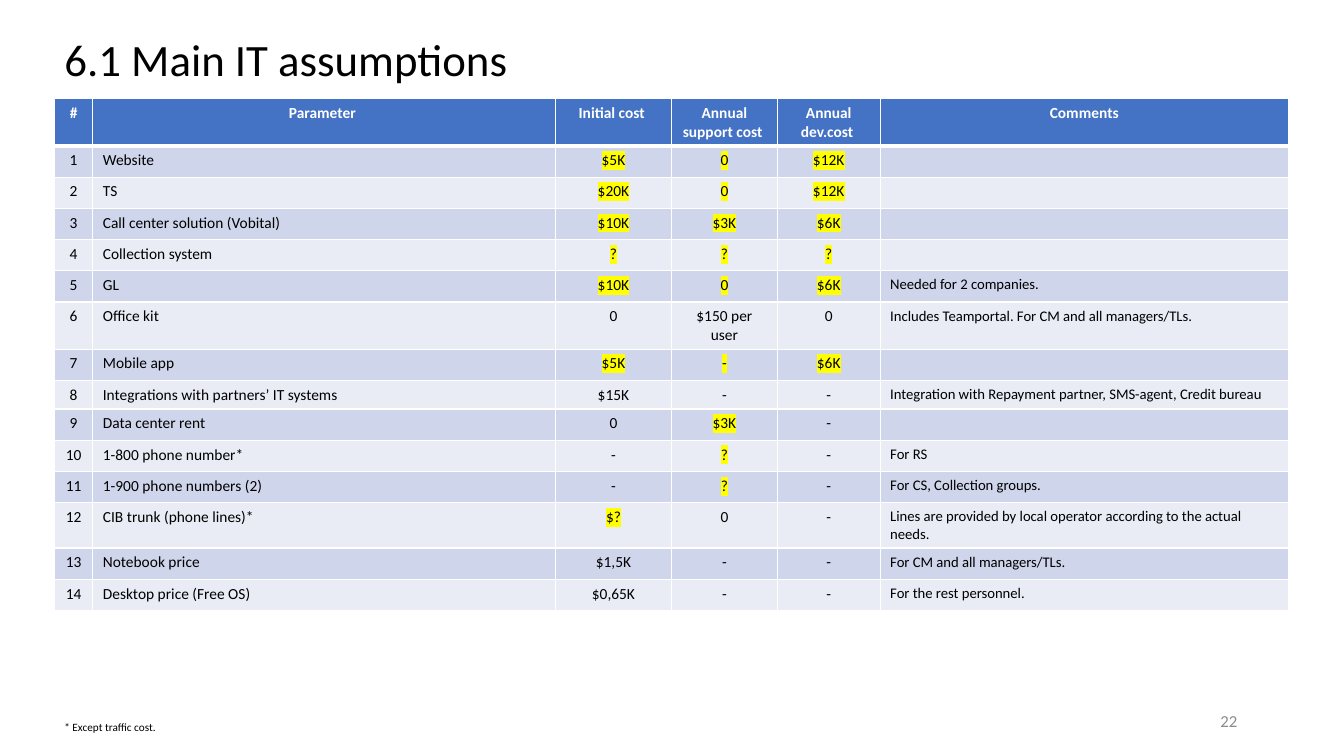
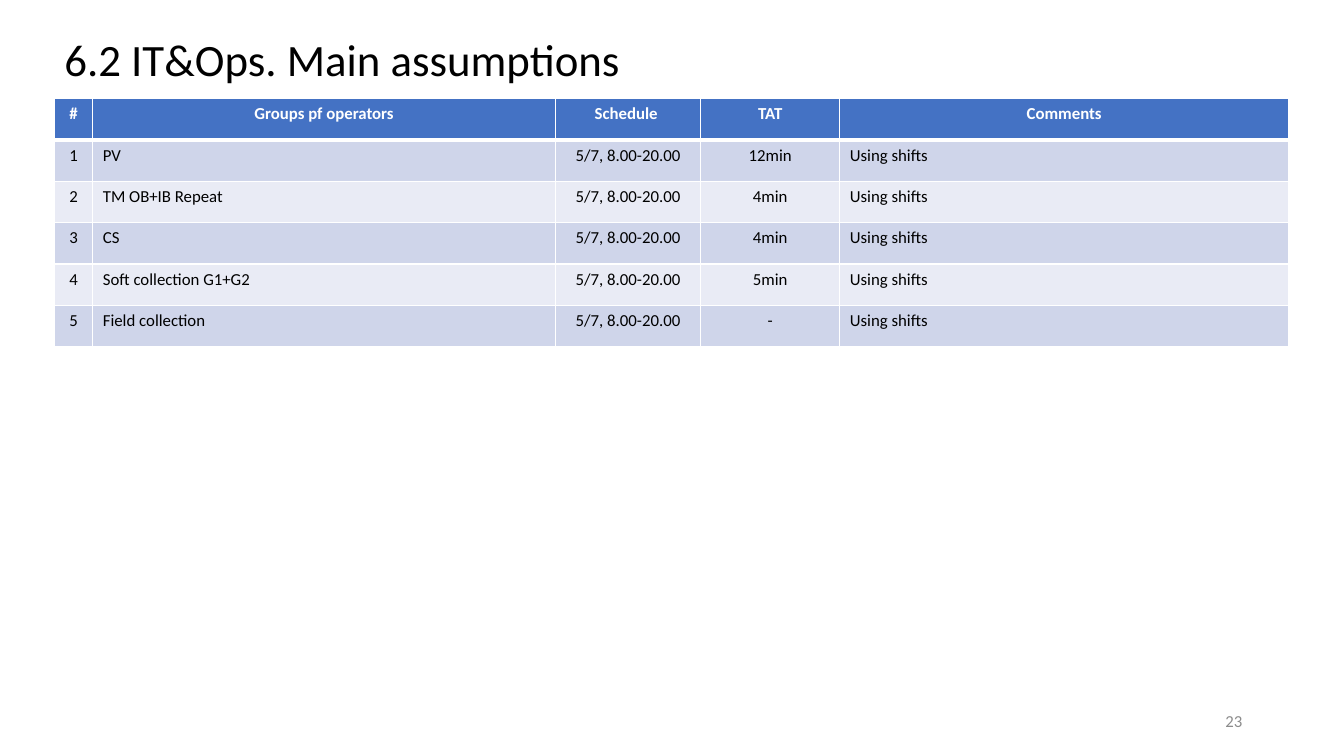
from dataclasses import dataclass
from typing import NamedTuple

import lxml.etree
import pptx
import pptx.dml.color
import pptx.enum.text
import pptx.oxml.ns
import pptx.util

EMU_PER_PX = 9144  # 100 px to the inch
SLIDE_WIDTH, SLIDE_HEIGHT = 1333, 750
LEFT = 54
TABLE_TOP = 98
FONT = "Calibri"
COLORS = {
    "text": "000000",
    "page_number": "8C8C8C",
    "header": "4472C4",
    "header_text": "FFFFFF",
    "odd_row": "CFD5EA",
    "even_row": "E9EBF5",
    "border": "FFFFFF",
    "marker": "FFFF00",
}
ALIGN = pptx.enum.text.PP_ALIGN
ANCHOR = pptx.enum.text.MSO_ANCHOR


class Marked(NamedTuple):
    """A cell value with a highlighter behind it."""
    text: str


class Column(NamedTuple):
    heading: str
    width: int
    align: ALIGN = ALIGN.CENTER
    size: float | None = None


class Box(NamedTuple):
    left: int
    top: int
    width: int
    height: int


@dataclass
class Assumptions:
    title: str
    page: int
    page_left: int
    size: float
    columns: list[Column]
    rows: list[list[str | Marked]]
    row_height: int
    header_height: int
    short_rows: dict[int, int]
    footnote: str = ""


IT_COSTS = Assumptions(
    title="6.1 Main IT assumptions",
    page=22,
    page_left=937,
    size=11,
    columns=[
        Column("#", 38),
        Column("Parameter ", 459, ALIGN.LEFT),
        Column("Initial cost ", 115),
        Column("Annual support cost ", 105),
        Column("Annual dev.cost ", 102),
        Column("Comments", 405, ALIGN.LEFT, 10.5),
    ],
    rows=[
        ["Website", Marked("$5K"), Marked("0"), Marked("$12K"), ""],
        ["TS", Marked("$20K"), Marked("0"), Marked("$12K"), ""],
        ["Call center solution (Vobital)", Marked("$10K"), Marked("$3K"), Marked("$6K"), ""],
        ["Collection system", Marked("?"), Marked("?"), Marked("?"), ""],
        ["GL", Marked("$10K"), Marked("0"), Marked("$6K"), "Needed for 2 companies."],
        ["Office kit", "0", "$150 per user", "0",
         "Includes Teamportal. For CM and all managers/TLs."],
        ["Mobile app", Marked("$5K"), Marked("-"), Marked("$6K"), ""],
        ["Integrations with partners’ IT systems", "$15K", "-", "-",
         "Integration with Repayment partner, SMS-agent, Credit bureau"],
        ["Data center rent", "0", Marked("$3K"), "-", ""],
        ["1-800 phone number*", "-", Marked("?"), "-", "For RS"],
        ["1-900 phone numbers (2)", "-", Marked("?"), "-", "For CS, Collection groups."],
        ["CIB trunk (phone lines)*", Marked("$?"), "0", "-",
         "Lines are provided by local operator according to the actual needs."],
        ["Notebook price", "$1,5K", "-", "-", "For CM and all managers/TLs."],
        ["Desktop price (Free OS)", "$0,65K", "-", "-", "For the rest personnel."],
    ],
    row_height=31,
    header_height=36,
    short_rows={8: 28},
    footnote="* Except traffic cost.",
)

OPERATOR_GROUPS = Assumptions(
    title="6.2 IT&Ops. Main assumptions",
    page=23,
    page_left=942,
    size=12,
    columns=[
        Column("#", 38),
        Column("Groups pf operators", 459, ALIGN.LEFT),
        Column("Schedule ", 144),
        Column("TAT", 138),
        Column("Comments", 445, ALIGN.LEFT),
    ],
    rows=[
        [group, "5/7, 8.00-20.00", turnaround, "Using shifts"]
        for group, turnaround in [
            ("PV", "12min"),
            ("TM OB+IB Repeat", "4min"),
            ("CS", "4min"),
            ("Soft collection G1+G2", "5min"),
            ("Field collection", "-"),
        ]
    ],
    row_height=41,
    header_height=41,
    short_rows={},
)


def px(length: int) -> pptx.util.Emu:
    return pptx.util.Emu(length * EMU_PER_PX)


def rgb(color: str) -> pptx.dml.color.RGBColor:
    return pptx.dml.color.RGBColor.from_string(COLORS[color])


def drawing_element(parent, tag: str, **attributes: str):
    return lxml.etree.SubElement(parent, pptx.oxml.ns.qn(f"a:{tag}"), attributes)


def write(paragraph, text: str, size: float, color: str, align: ALIGN = ALIGN.LEFT,
          bold: bool = False) -> None:
    paragraph.text = text
    paragraph.alignment = align
    for run in paragraph.runs:
        run.font.name = FONT
        run.font.size = pptx.util.Pt(size)
        run.font.bold = bold
        run.font.color.rgb = rgb(color)
    if not text:  # an empty cell must not grow to the default text size
        drawing_element(paragraph._p, "endParaRPr", sz=str(int(size * 100)))


def highlight(run) -> None:
    properties = run._r.get_or_add_rPr()
    marker = drawing_element(properties, "highlight")
    drawing_element(marker, "srgbClr", val=COLORS["marker"])
    properties.find(pptx.oxml.ns.qn("a:solidFill")).addnext(marker)


def add_borders(cell, top: int, bottom: int) -> None:
    """Add side lines of 1 pt, and top and bottom lines of the given points."""
    properties = cell._tc.get_or_add_tcPr()
    for side, points in {"L": 1, "R": 1, "T": top, "B": bottom}.items():
        line = drawing_element(properties, f"ln{side}", w=str(pptx.util.Pt(points)))
        fill = drawing_element(line, "solidFill")
        drawing_element(fill, "srgbClr", val=COLORS["border"])


def style_cell(cell, row: int) -> None:
    add_borders(cell, top=3 if row == 1 else 1, bottom=3 if row == 0 else 1)
    cell.fill.solid()
    band = "header" if row == 0 else "odd_row" if row % 2 else "even_row"
    cell.fill.fore_color.rgb = rgb(band)


def add_text(slide, box: Box, text: str, size: float, color: str = "text",
             align: ALIGN = ALIGN.LEFT, anchor: ANCHOR = ANCHOR.MIDDLE,
             line_spacing: float = 1.0) -> None:
    frame = slide.shapes.add_textbox(*map(px, box)).text_frame
    frame.word_wrap = True
    frame.vertical_anchor = anchor
    paragraph = frame.paragraphs[0]
    write(paragraph, text, size, color, align)
    paragraph.line_spacing = line_spacing


def add_assumption_table(slide, content: Assumptions) -> None:
    columns = content.columns
    heights = [content.header_height] + [
        content.short_rows.get(number, content.row_height)
        for number in range(1, len(content.rows) + 1)
    ]
    width = sum(column.width for column in columns)
    box = Box(LEFT, TABLE_TOP, width, sum(heights))
    table = slide.shapes.add_table(len(heights), len(columns), *map(px, box)).table
    for index, height in enumerate(heights):
        table.rows[index].height = px(height)

    for index, column in enumerate(columns):
        table.columns[index].width = px(column.width)
        heading = table.cell(0, index)
        style_cell(heading, 0)
        write(heading.text_frame.paragraphs[0], column.heading, content.size,
              "header_text", ALIGN.CENTER, bold=True)

    for number, values in enumerate(content.rows, start=1):
        for index, (column, value) in enumerate(zip(columns, [str(number), *values])):
            cell = table.cell(number, index)
            style_cell(cell, number)
            marked = isinstance(value, Marked)
            paragraph = cell.text_frame.paragraphs[0]
            write(paragraph, value.text if marked else value,
                  column.size or content.size, "text", column.align)
            if marked:
                highlight(paragraph.runs[0])


def add_assumption_slide(presentation, content: Assumptions) -> None:
    slide = presentation.slides.add_slide(presentation.slide_layouts[6])
    add_text(slide, Box(content.page_left, 695, 300, 40), str(content.page), 12,
             "page_number", ALIGN.RIGHT)
    add_text(slide, Box(LEFT, 22, 975, 78), content.title, 32, line_spacing=0.9)
    add_assumption_table(slide, content)
    if content.footnote:
        add_text(slide, Box(LEFT, 710, 1093, 24), content.footnote, 8, anchor=ANCHOR.TOP)


def main() -> None:
    presentation = pptx.Presentation()
    presentation.slide_width = px(SLIDE_WIDTH)
    presentation.slide_height = px(SLIDE_HEIGHT)
    for content in (IT_COSTS, OPERATOR_GROUPS):
        add_assumption_slide(presentation, content)
    presentation.save("out.pptx")


if __name__ == "__main__":
    main()
